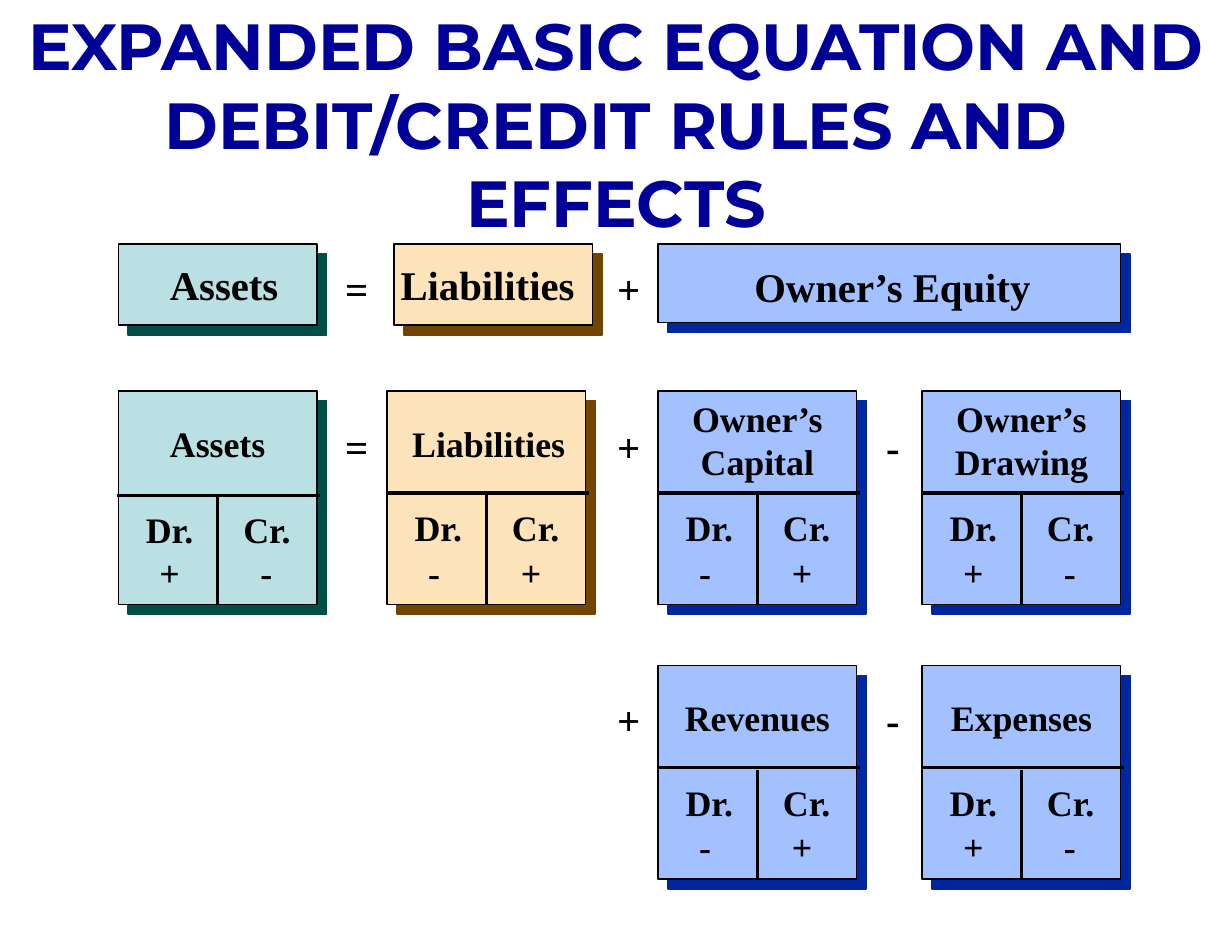
from lxml import etree
from pptx import Presentation, util as u
from pptx.dml.color import RGBColor
from pptx.enum import shapes, text
from pptx.oxml import ns

SERIF = "Times New Roman"
INK, NAVY = "000000", "000099"
# Fill and shadow of each family
TEAL, SAND, BLUE = ("BBE0E3", "004E47"), ("FDE3BA", "714400"), ("A2C1FE", "00279F")
WIDE, TALL = 1.69, 1.82
BIG, MID = 25, 22


def hue(code):
    return RGBColor.from_string(code)


def child(node, tag, **attrs):
    return etree.SubElement(node, ns.qn(tag), **attrs)


class Board:
    def __init__(self, slide, font=SERIF, color=INK):
        self.slide, self.font, self.color = slide, font, color

    def label(self, words, x, y, w, h, size, font=None, color=None, stop=None):
        box = self.slide.shapes.add_textbox(*map(u.Inches, (x, y, w, h)))
        frame = box.text_frame
        frame.word_wrap = True
        para = frame.paragraphs[0]
        para.text = words
        if stop is None:
            para.alignment = text.PP_ALIGN.CENTER
        else:
            tabs = child(para._p.get_or_add_pPr(), "a:tabLst")
            child(tabs, "a:tab", pos=str(u.Inches(stop)), algn="l")
        para.font.size = u.Pt(size)
        para.font.bold = True
        para.font.name = font or self.font
        para.font.color.rgb = hue(color or self.color)

    def card(self, x, y, w, h, tone):
        fill, shade = tone
        box = self.slide.shapes.add_shape(
            shapes.MSO_SHAPE.RECTANGLE, *map(u.Inches, (x, y, w, h)))
        box.fill.solid()
        box.fill.fore_color.rgb = hue(fill)
        box.line.color.rgb = hue(self.color)
        box.line.width = u.Pt(1)
        box.shadow.inherit = False
        list_ = box._element.spPr.find(ns.qn("a:effectLst"))
        drop = child(list_, "a:outerShdw", dist=str(u.Pt(8.5)), dir="2700000",
                     algn="ctr", rotWithShape="0")
        child(drop, "a:srgbClr", val=shade)
        return box

    def rule(self, x1, y1, x2, y2):
        line = self.slide.shapes.add_connector(
            shapes.MSO_CONNECTOR.STRAIGHT, *map(u.Inches, (x1, y1, x2, y2)))
        line.line.color.rgb = hue(self.color)
        line.line.width = u.Pt(2)
        child(line._element.spPr, "a:effectLst")
        return line

    def account(self, name, x, y, tone, signs, drop=0, shift=0):
        box = self.card(x, y, WIDE, TALL, tone)
        top = y if " " in name else y + 0.21
        self.label(name, x + shift, top, WIDE, y + 0.83 - top, MID)
        # T rules
        self.rule(x - 0.01, y + 0.87 + drop, x + 1.72, y + 0.87 + drop)
        mid = x + WIDE / 2
        stem = self.rule(mid, y + 0.89, mid, y + TALL)
        stem.end_connect(box, 2)
        # Sides and their signs
        for side, left in (("Dr.", 0.04), ("Cr.", 0.87)):
            self.label(side, x + left, y + 0.93 + drop, 0.79, 0.46, MID)
        stop = 0.86 if signs[0] == "+" else 0.79
        self.label("\t".join(signs), x + 0.25, y + 1.31, 1.25, 0.46, MID, stop=stop)


def main():
    deck = Presentation()
    deck.slide_width, deck.slide_height = u.Inches(10.5), u.Inches(8)
    board = Board(deck.slides.add_slide(deck.slide_layouts[6]))

    # Title
    board.label("EXPANDED BASIC EQUATION AND DEBIT/CREDIT RULES AND EFFECTS",
                0, 0, 10.5, 1.43, 40, "Montserrat", NAVY)

    # Basic equation
    for name, x, w, h, tone, left, top, span in (
            ("Assets", 1.01, WIDE, 0.69, TEAL, 1.34, 2.16, 1.14),
            ("Liabilities", 3.36, WIDE, 0.69, SAND, 3.25, 2.16, 1.81),
            ("Owner’s Equity", 5.61, 3.94, 0.67, BLUE, 6.23, 2.18, 2.75)):
        board.card(x, 2.08, w, h, tone)
        board.label(name, left, top, span, 0.51, BIG)

    # Operators, row by row
    for y, marks in ((2.2, "=+"), (3.54, "=+-"), (5.87, " +-")):
        for mark, x in zip(marks, (2.79, 5.11, 7.36)):
            if mark != " ":
                board.label(mark, x, y, 0.5, 0.51, BIG)

    # T accounts
    row1, row2 = 3.33, 5.67
    board.account("Assets", 1.01, row1, TEAL, "+-", drop=0.02)
    board.account("Liabilities", 3.3, row1, SAND, "-+", shift=0.02)
    for x, y, name, signs in (
            (5.61, row1, "Owner’s Capital", "-+"),
            (7.86, row1, "Owner’s Drawing", "+-"),
            (5.61, row2, "Revenues", "-+"),
            (7.86, row2, "Expenses", "+-")):
        board.account(name, x, y, BLUE, signs)

    deck.save("out.pptx")


if __name__ == "__main__":
    main()
